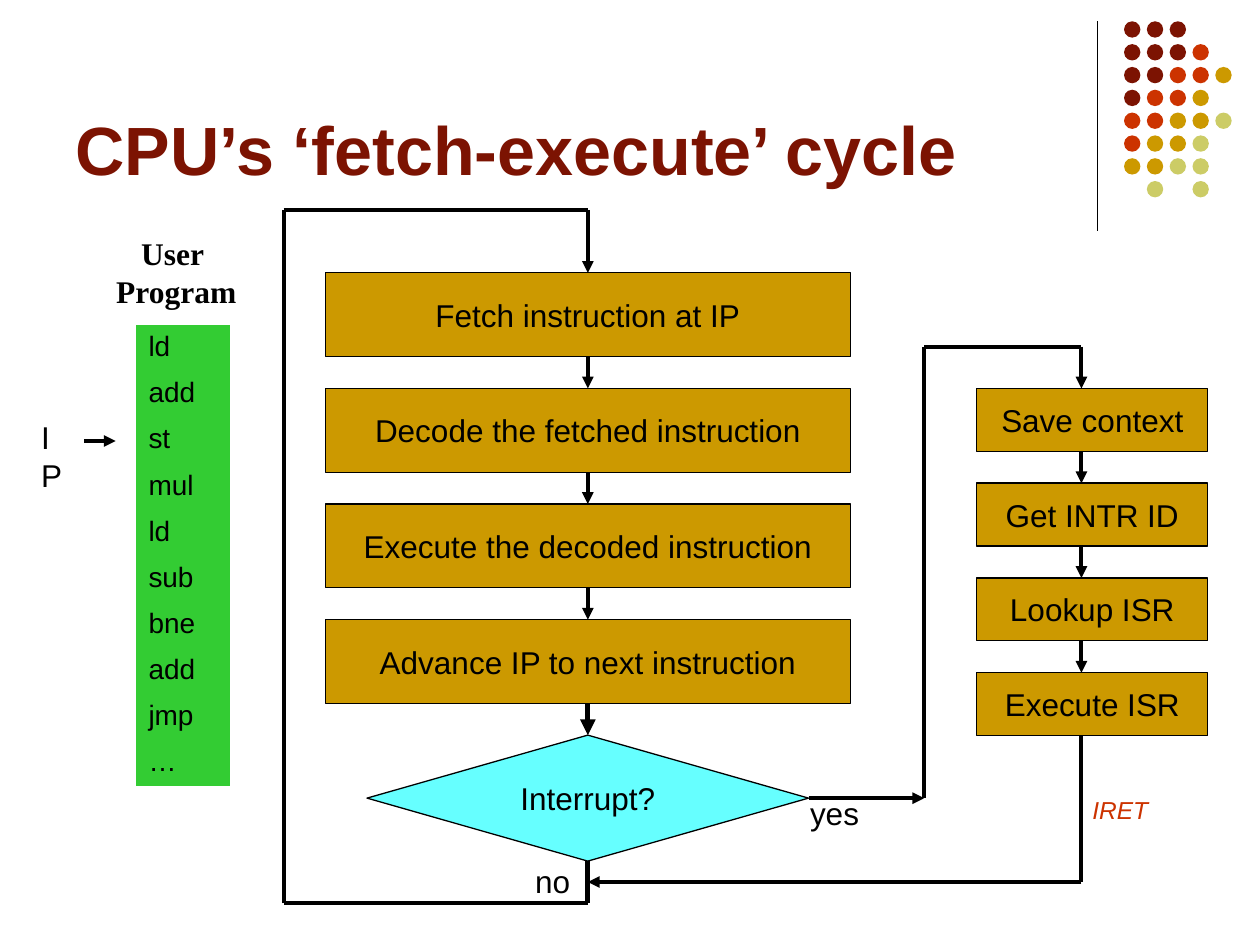
"""Build the slide on the CPU's fetch-execute cycle."""
from itertools import pairwise

from lxml import etree
from pptx import Presentation
from pptx import util as u
from pptx.dml.color import RGBColor
from pptx.enum import shapes, text
from pptx.oxml import ns

BLACK = RGBColor(0x00, 0x00, 0x00)
MAROON = RGBColor(0x7C, 0x13, 0x02)
RED = RGBColor(0xCC, 0x33, 0x00)
GOLD = RGBColor(0xCC, 0x99, 0x00)
LIME = RGBColor(0xCC, 0xCC, 0x66)
CYAN = RGBColor(0x66, 0xFF, 0xFF)
GREEN = RGBColor(0x33, 0xCC, 0x33)

DOT_COLOURS = {"m": MAROON, "r": RED, "g": GOLD, "l": LIME}
DOT_ROWS = ["mmm", "mmmr", "mmrrg", "mrrg", "rrggl", "rggl", "ggll", ".l.l"]
CYCLE_STEPS = ["Fetch instruction at IP", "Decode the fetched instruction",
               "Execute the decoded instruction", "Advance IP to next instruction"]
HANDLER_STEPS = ["Save context", "Get INTR ID", "Lookup ISR", "Execute ISR"]
PROGRAM = ["ld", "add", "st", "mul", "ld", "sub", "bne", "add", "jmp", "…"]
NO_GRID_STYLE = "{2D5ABB26-0587-4C30-8999-92F81FD0307C}"

CYCLE_X, LOOP_X, LOOP_TOP, LOOP_BOTTOM = 11.85, 5.72, 4.23, 18.21
HANDLER_X, YES_X, YES_TOP, RETURN_Y = 21.8, 18.63, 6.99, 17.78
DECISION_Y = 16.09


def set_all(target, values):
    for name, value in values.items():
        setattr(target, name, value)


class Painter:
    def __init__(self, page):
        self.page = page
        self.font = {"name": "Arial", "size": u.Pt(18), "bold": False, "italic": False}

    def fill_text(self, frame, lines, colour=BLACK, align=text.PP_ALIGN.LEFT,
                  para_format=None, **font):
        for index, line in enumerate(lines):
            para = frame.paragraphs[0] if index == 0 else frame.add_paragraph()
            set_all(para, {"alignment": align, **(para_format or {})})
            span = para.add_run()
            span.text = line
            set_all(span.font, {**self.font, **font})
            span.font.color.rgb = colour

    def title(self, words, place):
        box = self.page.shapes.title
        set_all(box, dict(zip(("left", "top", "width", "height"), map(u.Cm, place))))
        set_all(box.text_frame, {"vertical_anchor": text.MSO_ANCHOR.BOTTOM,
                                 "auto_size": text.MSO_AUTO_SIZE.NONE})
        self.fill_text(box.text_frame, [words], MAROON, size=u.Pt(39), bold=True)

    def shape(self, kind, place, fill, words=None):
        box = self.page.shapes.add_shape(kind, *map(u.Cm, place))
        box.shadow.inherit = False
        box.fill.solid()
        box.fill.fore_color.rgb = fill
        if words is None:
            box.line.fill.background()
            return box
        box.line.color.rgb = BLACK
        box.line.width = u.Pt(0.75)
        set_all(box.text_frame, {"word_wrap": False, "vertical_anchor": text.MSO_ANCHOR.MIDDLE})
        self.fill_text(box.text_frame, [words], align=text.PP_ALIGN.CENTER)
        return box

    def column(self, steps, left, top, width, height, pitch):
        return [self.shape(shapes.MSO_SHAPE.RECTANGLE,
                           (left, top + row * pitch, width, height), GOLD, step)
                for row, step in enumerate(steps)]

    def label(self, lines, place, **style):
        box = self.page.shapes.add_textbox(*map(u.Cm, place))
        set_all(box.text_frame, {"word_wrap": False,
                                 "auto_size": text.MSO_AUTO_SIZE.SHAPE_TO_FIT_TEXT})
        self.fill_text(box.text_frame, lines, **style)

    def line(self, start, end, arrow=False, width=2.25, source=None, target=None):
        link = self.page.shapes.add_connector(
            shapes.MSO_CONNECTOR.STRAIGHT, *map(u.Cm, (*start, *end)))
        if source:
            link.begin_connect(*source)
        if target:
            link.end_connect(*target)
        link.line.color.rgb = BLACK
        link.line.width = u.Pt(width)
        properties = link._element.spPr
        if arrow:
            etree.SubElement(properties.find(ns.qn("a:ln")), ns.qn("a:tailEnd"), type="triangle")
        etree.SubElement(properties, ns.qn("a:effectLst"))

    def route(self, points):
        for start, end in pairwise(points):
            self.line(start, end)

    def dots(self, left, top, pitch, size):
        for row, codes in enumerate(DOT_ROWS):
            for col, code in enumerate(codes):
                if code in DOT_COLOURS:
                    self.shape(shapes.MSO_SHAPE.OVAL,
                               (left + col * pitch, top + row * pitch, size, size),
                               DOT_COLOURS[code])

    def listing(self, lines, left, top, width, row_height):
        frame = self.page.shapes.add_table(
            len(lines), 1, *map(u.Cm, (left, top, width, row_height * len(lines))))
        table = frame.table
        set_all(table, {"first_row": False, "horz_banding": False})
        table._tbl.tblPr.find(ns.qn("a:tableStyleId")).text = NO_GRID_STYLE
        for row, line in enumerate(lines):
            cell = table.cell(row, 0)
            cell.fill.solid()
            cell.fill.fore_color.rgb = GREEN
            cell.vertical_anchor = text.MSO_ANCHOR.MIDDLE
            self.fill_text(cell.text_frame, [line], size=u.Pt(16),
                           para_format={"line_spacing": 0.93, "space_before": u.Pt(4)})


def main():
    deck = Presentation()
    set_all(deck, {"slide_width": u.Cm(25.4), "slide_height": u.Cm(19.05)})
    painter = Painter(deck.slides.add_slide(deck.slide_layouts[5]))

    painter.line((22.12, 0.43), (22.12, 4.65), width=0.75)
    painter.dots(22.66, 0.43, 0.46, 0.33)
    painter.title("CPU’s ‘fetch-execute’ cycle", (1.27, 0.33, 20.96, 3.61))

    cycle = painter.column(CYCLE_STEPS, 6.56, 5.5, 10.58, 1.69, 2.33)
    decision = painter.shape(shapes.MSO_SHAPE.DIAMOND, (7.4, 14.82, 8.9, 2.54), CYAN, "Interrupt?")
    centre = (CYCLE_X, LOOP_TOP)
    painter.line(centre, centre, True, target=(cycle[0], 0))
    for upper, lower in pairwise([*cycle, decision]):
        painter.line(centre, centre, True, 3 if lower is decision else 2.25,
                     (upper, 2), (lower, 0))
    loop_end = (CYCLE_X, LOOP_BOTTOM)
    painter.line(centre, loop_end, width=3, source=(decision, 2))
    painter.route([loop_end, (LOOP_X, LOOP_BOTTOM), (LOOP_X, LOOP_TOP), centre])
    painter.label(["no"], (10.54, 17.25, 1.22, 1.02))

    top, height, pitch = 7.83, 1.27, 1.91
    painter.column(HANDLER_STEPS, 19.69, top, 4.66, height, pitch)
    painter.line((HANDLER_X, YES_TOP), (HANDLER_X, top), True)
    for row in range(1, len(HANDLER_STEPS)):
        step_top = top + row * pitch
        painter.line((HANDLER_X, step_top - pitch + height), (HANDLER_X, step_top), True)
    yes_end = (YES_X, DECISION_Y)
    painter.line(yes_end, yes_end, True, source=(decision, 3))
    painter.route([yes_end, (YES_X, YES_TOP), (HANDLER_X, YES_TOP)])
    painter.line((HANDLER_X, step_top + height), (HANDLER_X, RETURN_Y))
    painter.line((HANDLER_X, RETURN_Y), (CYCLE_X, RETURN_Y), True)
    painter.label(["yes"], (16.08, 15.88, 1.5, 1.02))
    painter.label(["IRET"], (21.77, 15.9, 1.63, 0.86), colour=RED, size=u.Pt(14), italic=True)

    painter.label(["User ", "Program"], (2.08, 4.6, 2.95, 1.78),
                  align=text.PP_ALIGN.CENTER, name="Times New Roman", bold=True)
    painter.label(["IP"], (0.58, 8.31, 1.09, 1.02))
    painter.line((1.7, 8.89), (2.33, 8.89), True)
    painter.listing(PROGRAM, 2.74, 6.55, 1.9, 0.93)
    deck.save("out.pptx")


if __name__ == "__main__":
    main()
